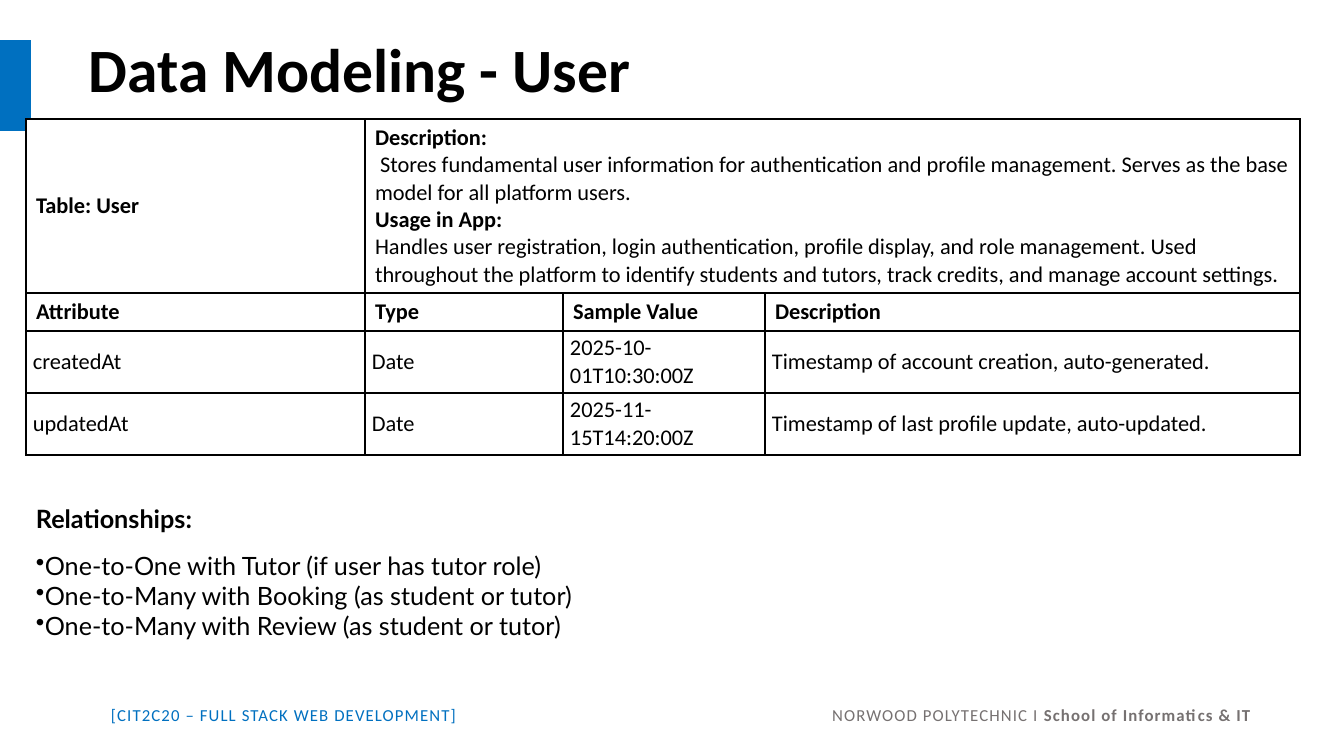
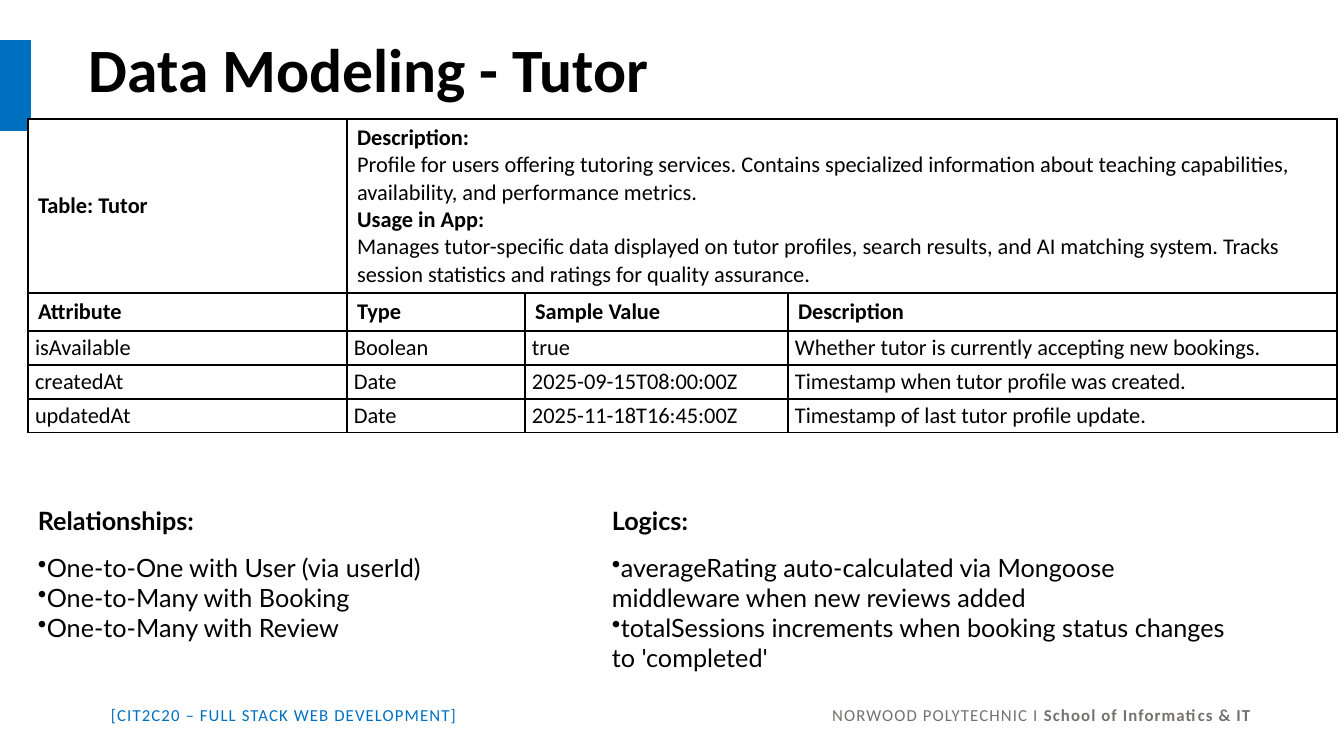
"""Build two data modeling slides, each with an attribute table and notes."""
from lxml import etree
from pptx import Presentation
from pptx.dml.color import RGBColor
from pptx.enum.shapes import MSO_SHAPE
from pptx.enum.text import MSO_ANCHOR
from pptx.oxml.ns import qn
from pptx.util import Pt

RECTANGLE = MSO_SHAPE.RECTANGLE
MIDDLE = MSO_ANCHOR.MIDDLE
PX = 914400 / 100.8
COLOURS = {"ink": "000000", "paper": "FFFFFF", "accent": "0070C0", "muted": "767171"}
FOOTER = [
    ("[CIT2C20 – FULL STACK WEB DEVELOPMENT]\t", False, "accent"),
    ("NORWOOD POLYTECHNIC I ", False, "muted"),
    ("School of Informatics & IT", True, "muted"),
]
HEADINGS = ["Attribute", "Type", "Sample Value", "Description"]

SLIDES = [
    {
        "entity": "User",
        "left": 26,
        "columns": [339, 198, 202, 535],
        "row_height": 62,
        "description": " Stores fundamental user information for authentication and profile "
                       "management. Serves as the base model for all platform users.",
        "usage": "Handles user registration, login authentication, profile display, and role "
                 "management. Used throughout the platform to identify students and tutors, "
                 "track credits, and manage account settings.",
        "attributes": [
            ["createdAt", "Date", "2025-10-01T10:30:00Z",
             "Timestamp of account creation, auto-generated."],
            ["updatedAt", "Date", "2025-11-15T14:20:00Z",
             "Timestamp of last profile update, auto-updated."],
        ],
        "notes": [
            ("Relationships:", (26, 498, 672, 149), [
                "One-to-One with Tutor (if user has tutor role)",
                "One-to-Many with Booking (as student or tutor)",
                "One-to-Many with Review (as student or tutor)",
            ]),
        ],
    },
    {
        "entity": "Tutor",
        "left": 28,
        "columns": [319, 178, 263, 549],
        "row_height": 34,
        "description": "Profile for users offering tutoring services. Contains specialized "
                       "information about teaching capabilities, availability, and "
                       "performance metrics.",
        "usage": "Manages tutor-specific data displayed on tutor profiles, search results, and "
                 "AI matching system. Tracks session statistics and ratings for quality "
                 "assurance.",
        "attributes": [
            ["isAvailable", "Boolean", "true",
             "Whether tutor is currently accepting new bookings."],
            ["createdAt", "Date", "2025-09-15T08:00:00Z",
             "Timestamp when tutor profile was created."],
            ["updatedAt", "Date", "2025-11-18T16:45:00Z",
             "Timestamp of last tutor profile update."],
        ],
        "notes": [
            ("Relationships:", (28, 500, 404, 149), [
                "One-to-One with User (via userId)",
                "One-to-Many with Booking",
                "One-to-Many with Review",
            ]),
            ("Logics:", (602, 500, 644, 179), [
                "averageRating auto-calculated via Mongoose middleware when new reviews added",
                "totalSessions increments when booking status changes to 'completed'",
            ]),
        ],
    },
]


def px(*lengths):
    """Turn pixel lengths into EMU."""
    return [round(length * PX) for length in lengths]


def write(frame, lines, size, face="Calibri"):
    """Fill a text frame with one paragraph per line of (text, bold, colour) spans."""
    frame.word_wrap = True
    for index, spans in enumerate(lines):
        para = frame.add_paragraph() if index else frame.paragraphs[0]
        for text, bold, colour in spans:
            span = para.add_run()
            span.text = text
            span.font.size = Pt(size)
            span.font.name = face
            span.font.bold = bold
            span.font.color.rgb = RGBColor.from_string(COLOURS[colour])


deck = Presentation()
deck.slide_width, deck.slide_height = px(1344, 756)

for content in SLIDES:
    page = deck.slides.add_slide(deck.slide_layouts[6])
    entity = content["entity"]

    footer = page.shapes.add_textbox(*px(101, 700, 1172, 30)).text_frame
    write(footer, [FOOTER], 12)
    para = footer.paragraphs[0]
    for span in para.runs:
        span.font._element.set("spc", "80")
    tabs = etree.SubElement(para._p.get_or_add_pPr(), qn("a:tabLst"))
    etree.SubElement(tabs, qn("a:tab"), pos=str(px(1140)[0]), algn="r")

    stripe = page.shapes.add_shape(RECTANGLE, *px(0, 40, 31, 91))
    stripe.shadow.inherit = False
    stripe.fill.solid()
    stripe.fill.fore_color.rgb = RGBColor.from_string(COLOURS["accent"])
    stripe.line.fill.background()

    title = page.shapes.add_textbox(*px(79, 0, 1159, 146)).text_frame
    title.vertical_anchor = MIDDLE
    write(title, [[("Data Modeling - " + entity, True, "ink")]], 44)
    title.paragraphs[0].line_spacing = 0.9

    summary = [
        [("Description:", True, "ink")],
        [(content["description"], False, "ink")],
        [("Usage in App:", True, "ink")],
        [(content["usage"], False, "ink")],
    ]
    attributes = content["attributes"]
    heights = [174, 38] + [content["row_height"]] * len(attributes)
    widths = content["columns"]
    table = page.shapes.add_table(
        len(heights), len(widths),
        *px(content["left"], 119, sum(widths), sum(heights))).table
    table.first_row = False
    table.horz_banding = False
    for column, width in zip(table.columns, px(*widths)):
        column.width = width
    for row, height in zip(table.rows, px(*heights)):
        row.height = height
    for cell in table.iter_cells():
        cell.vertical_anchor = MIDDLE
        for side in ("a:lnL", "a:lnR", "a:lnT", "a:lnB"):
            border = etree.SubElement(cell._tc.get_or_add_tcPr(), qn(side), w=str(Pt(1)))
            paint = etree.SubElement(border, qn("a:solidFill"))
            etree.SubElement(paint, qn("a:srgbClr"), val=COLOURS["ink"])
        cell.fill.solid()
        cell.fill.fore_color.rgb = RGBColor.from_string(COLOURS["paper"])
    table.cell(0, 1).merge(table.cell(0, 3))
    write(table.cell(0, 0).text_frame, [[("Table: " + entity, True, "ink")]], 16)
    write(table.cell(0, 1).text_frame, summary, 16)
    for row_index, values in enumerate([HEADINGS] + attributes, 1):
        for column_index, value in enumerate(values):
            cell = table.cell(row_index, column_index)
            write(cell.text_frame, [[(value, row_index == 1, "ink")]], 16)
            if row_index > 1:
                cell.margin_left, cell.margin_right = px(7, 7)
                cell.margin_top, cell.margin_bottom = px(3, 3)

    for heading, place, points in content["notes"]:
        notes = page.shapes.add_textbox(*px(*place)).text_frame
        lines = [[(heading, True, "ink")]] + [[(point, False, "ink")] for point in points]
        write(notes, lines, 18, "Lato")
        notes.paragraphs[0].space_after = Pt(12)
        for para in notes.paragraphs[1:]:
            etree.SubElement(para._p.get_or_add_pPr(), qn("a:buChar"), char="•")

deck.save("out.pptx")
